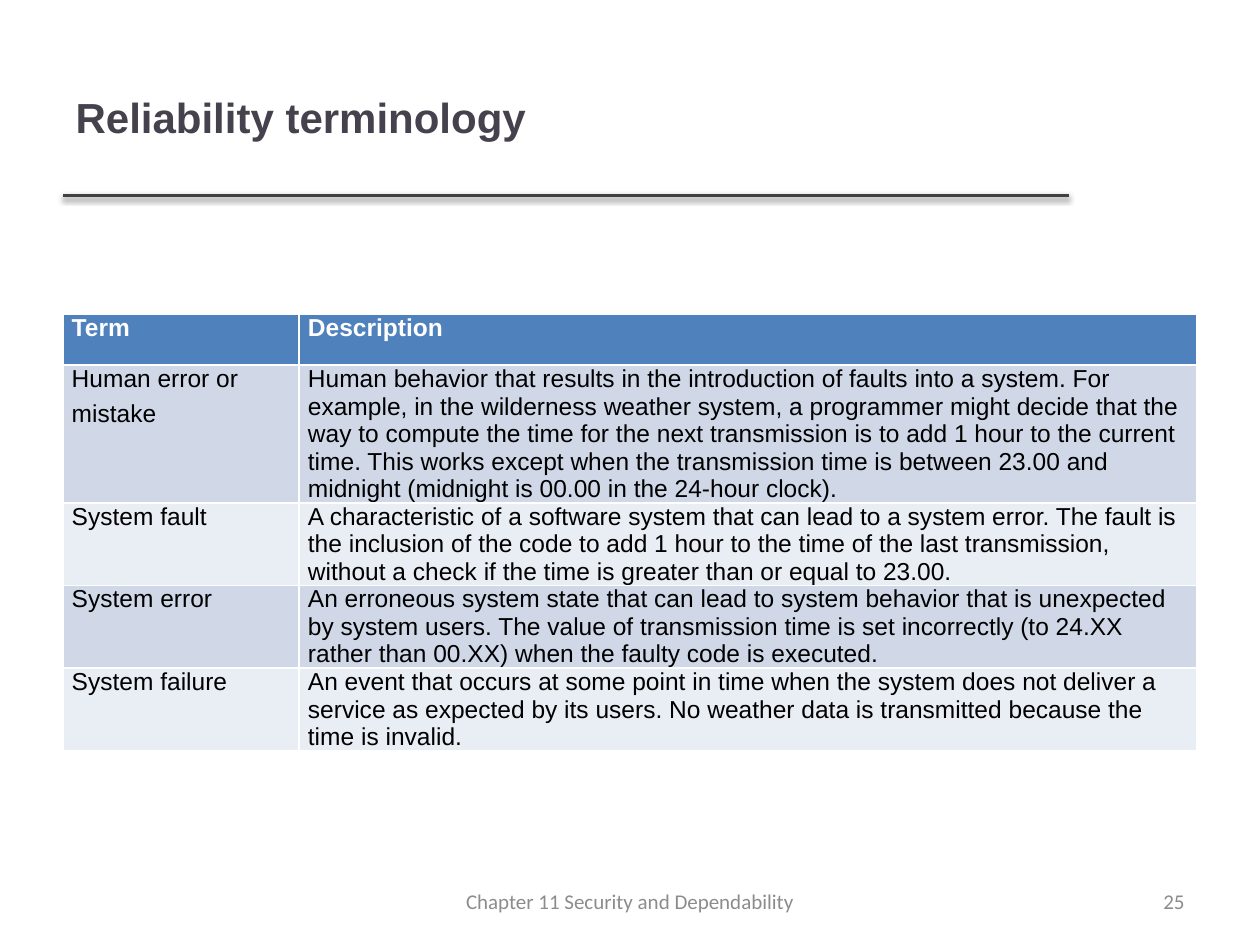
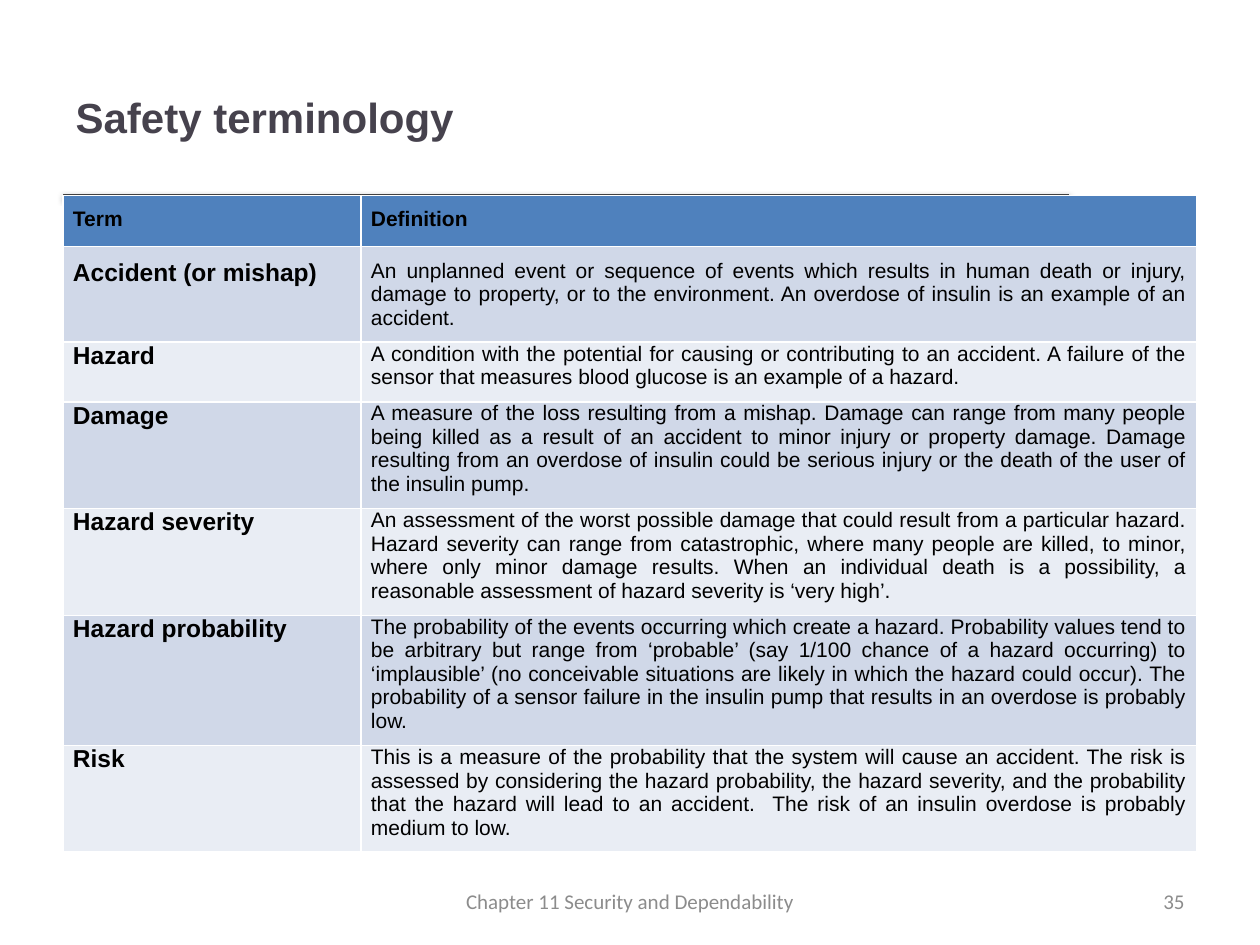
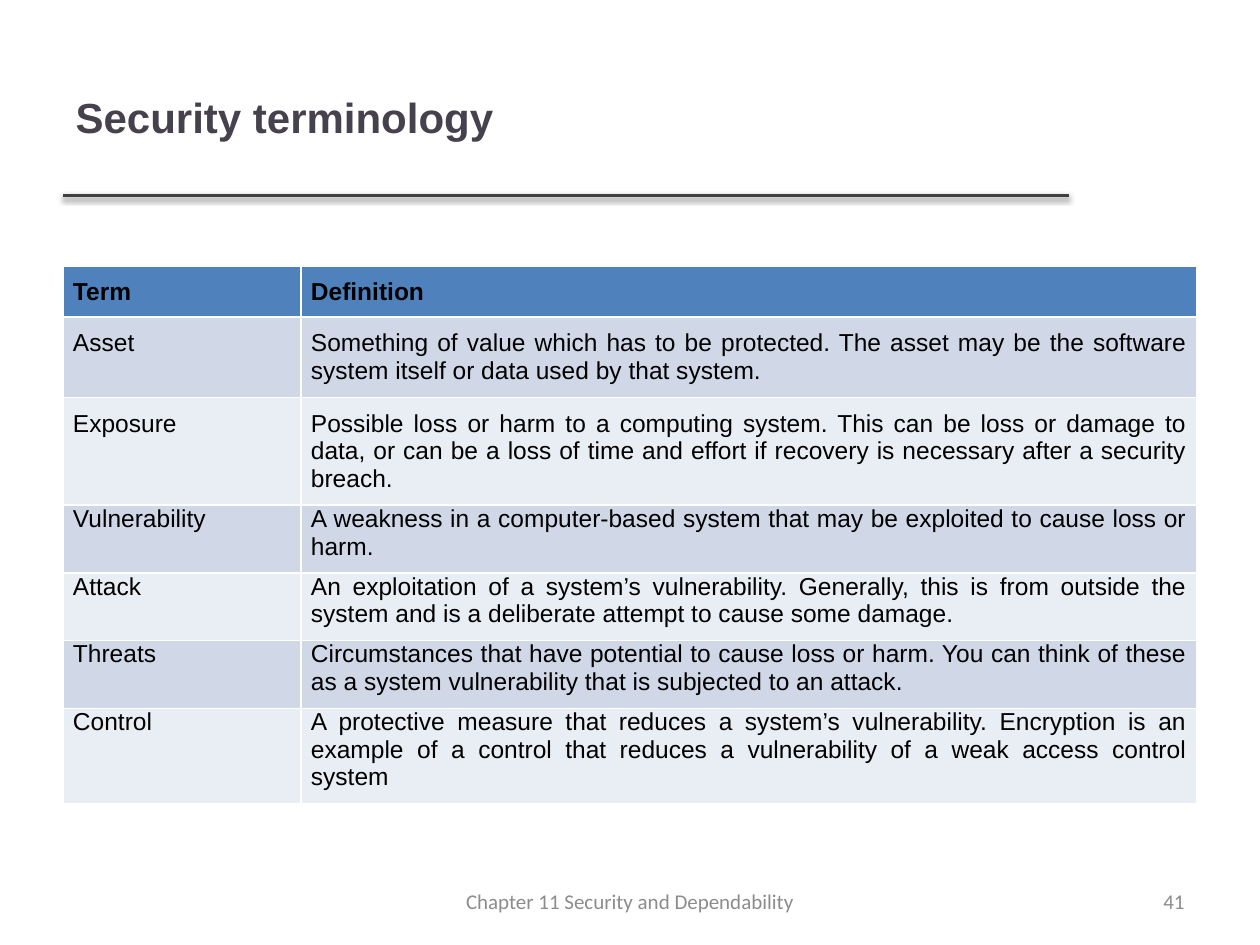
from lxml import etree
from pptx import Presentation
from pptx.dml.color import RGBColor
from pptx.enum import shapes, text
from pptx.oxml import ns
from pptx.util import Pt

WHITE = RGBColor(0xFF, 0xFF, 0xFF)
BLACK = RGBColor(0x00, 0x00, 0x00)
TITLE_INK = RGBColor(0x46, 0x42, 0x4D)
RULE_INK = RGBColor(0x40, 0x40, 0x40)
FOOTER_INK = RGBColor(0x8C, 0x8C, 0x8C)
HEADER_FILL = RGBColor(0x4F, 0x81, 0xBD)
BAND_FILLS = (RGBColor(0xD0, 0xD8, 0xE8), RGBColor(0xE9, 0xED, 0xF4))

LEFT = 36
CONTENT_WIDTH = 648
TITLE_TOP, TITLE_WIDTH, TITLE_HEIGHT = 21.6, 574.6, 90
RULE_Y = TITLE_TOP + TITLE_HEIGHT
FOOTER_TOP, FOOTER_HEIGHT = 500.5, 28.75
FOOTER = "Chapter 11 Security and Dependability"
ROW_HEIGHT = 29.2
CELL_PAD = 7.2
TITLE_ONLY = 5

RELIABILITY = [
    ("Term", "Description"),
    ("Human error or\nmistake",
     "Human behavior that results in the introduction of faults into a system. For example, "
     "in the wilderness weather system, a programmer might decide that the way to compute the "
     "time for the next transmission is to add 1 hour to the current time. This works except "
     "when the transmission time is between 23.00 and midnight (midnight is 00.00 in the "
     "24-hour clock)."),
    ("System fault",
     "A characteristic of a software system that can lead to a system error. The fault is the "
     "inclusion of the code to add 1 hour to the time of the last transmission, without a "
     "check if the time is greater than or equal to 23.00."),
    ("System error",
     "An erroneous system state that can lead to system behavior that is unexpected by system "
     "users. The value of transmission time is set incorrectly (to 24.XX rather than 00.XX) "
     "when the faulty code is executed."),
    ("System failure",
     "An event that occurs at some point in time when the system does not deliver a service "
     "as expected by its users. No weather data is transmitted because the time is invalid."),
]

SAFETY = [
    ("Term", "Definition"),
    ("Accident (or mishap)",
     "An unplanned event or sequence of events which results in human death or injury, damage "
     "to property, or to the environment. An overdose of insulin is an example of an accident."),
    ("Hazard",
     "A condition with the potential for causing or contributing to an accident. A failure of "
     "the sensor that measures blood glucose is an example of a hazard."),
    ("Damage",
     "A measure of the loss resulting from a mishap. Damage can range from many people being "
     "killed as a result of an accident to minor injury or property damage. Damage resulting "
     "from an overdose of insulin could be serious injury or the death of the user of the "
     "insulin pump."),
    ("Hazard severity",
     "An assessment of the worst possible damage that could result from a particular hazard. "
     "Hazard severity can range from catastrophic, where many people are killed, to minor, "
     "where only minor damage results. When an individual death is a possibility, a reasonable "
     "assessment of hazard severity is ‘very high’."),
    ("Hazard probability",
     "The probability of the events occurring which create a hazard. Probability values tend "
     "to be arbitrary but range from ‘probable’ (say 1/100 chance of a hazard occurring) to "
     "‘implausible’ (no conceivable situations are likely in which the hazard could occur). "
     "The probability of a sensor failure in the insulin pump that results in an overdose is "
     "probably low."),
    ("Risk",
     "This is a measure of the probability that the system will cause an accident. The risk is "
     "assessed by considering the hazard probability, the hazard severity, and the probability "
     "that the hazard will lead to an accident.  The risk of an insulin overdose is probably "
     "medium to low."),
]

SECURITY = [
    ("Term", "Definition"),
    ("Asset",
     "Something of value which has to be protected. The asset may be the software system "
     "itself or data used by that system."),
    ("Exposure",
     "Possible loss or harm to a computing system. This can be loss or damage to data, or can "
     "be a loss of time and effort if recovery is necessary after a security breach."),
    ("Vulnerability",
     "A weakness in a computer-based system that may be exploited to cause loss or harm."),
    ("Attack",
     "An exploitation of a system’s vulnerability. Generally, this is from outside the system "
     "and is a deliberate attempt to cause some damage."),
    ("Threats",
     "Circumstances that have potential to cause loss or harm. You can think of these as a "
     "system vulnerability that is subjected to an attack."),
    ("Control",
     "A protective measure that reduces a system’s vulnerability. Encryption is an example of "
     "a control that reduces a vulnerability of a weak access control system"),
]


def write(frame, words, size, color, font="Arial", bold=False,
          align=text.PP_ALIGN.LEFT, space_after=None):
    """Fill a text frame, one paragraph for each line of words."""
    for number, line in enumerate(words.split("\n")):
        para = frame.add_paragraph() if number else frame.paragraphs[0]
        para.alignment = align
        if space_after is not None:
            para.space_after = Pt(space_after)
        span = para.add_run()
        span.text = line
        span.font.name = font
        span.font.size = Pt(size)
        span.font.bold = bold
        span.font.color.rgb = color


def add_title(page, words):
    title = page.shapes.title
    title.left, title.top = Pt(LEFT), Pt(TITLE_TOP)
    title.width, title.height = Pt(TITLE_WIDTH), Pt(TITLE_HEIGHT)
    title.text_frame.vertical_anchor = text.MSO_ANCHOR.MIDDLE
    write(title.text_frame, words, 24, TITLE_INK, bold=True)


def add_footer_text(page, words, left, width, align):
    box = page.shapes.add_textbox(Pt(left), Pt(FOOTER_TOP), Pt(width), Pt(FOOTER_HEIGHT))
    box.text_frame.word_wrap = True
    box.text_frame.vertical_anchor = text.MSO_ANCHOR.MIDDLE
    write(box.text_frame, words, 12, FOOTER_INK, font="Calibri", align=align)


def add_rule_to_layout(page):
    """Draw the shadowed title rule and move it to the layout that all pages share."""
    rule = page.shapes.add_connector(shapes.MSO_CONNECTOR.STRAIGHT, Pt(LEFT), Pt(RULE_Y),
                                     Pt(LEFT + TITLE_WIDTH), Pt(RULE_Y))
    rule.line.color.rgb = RULE_INK
    rule.line.width = Pt(2)
    effects = etree.SubElement(rule.element.spPr, ns.qn("a:effectLst"))
    shadow = etree.SubElement(effects, ns.qn("a:outerShdw"), blurRad=str(Pt(3.1)),
                              dist=str(Pt(1.6)), dir="5400000", rotWithShape="0")
    black = etree.SubElement(shadow, ns.qn("a:srgbClr"), val=str(BLACK))
    etree.SubElement(black, ns.qn("a:alpha"), val="38000")
    rule.element.nvCxnSpPr.cNvPr.set("id", "20")
    page.slide_layout.shapes.element.append(rule.element)


def add_term_table(page, rows, top, height, term_width, size=14, term_size=14,
                   header_color=BLACK, bold_terms=False, side_pad=5.7, bottom_pad=CELL_PAD,
                   padded_rows=0, align=text.PP_ALIGN.JUSTIFY, space_after=None):
    """Two-column table; the header and the first padded_rows body rows get top padding."""
    frame = page.shapes.add_table(len(rows), 2, Pt(LEFT), Pt(top), Pt(CONTENT_WIDTH),
                                  Pt(ROW_HEIGHT * len(rows)))
    table = frame.table
    table.columns[0].width = Pt(term_width)
    table.columns[1].width = Pt(CONTENT_WIDTH - term_width)
    for row, words in enumerate(rows):
        header = row == 0
        table.rows[row].height = Pt(ROW_HEIGHT)
        for column, entry in enumerate(words):
            cell = table.cell(row, column)
            cell.margin_left = cell.margin_right = Pt(side_pad)
            cell.margin_top = Pt(CELL_PAD if padded_rows and row <= padded_rows else 0)
            cell.margin_bottom = Pt(0 if header else bottom_pad)
            cell.fill.solid()
            cell.fill.fore_color.rgb = HEADER_FILL if header else BAND_FILLS[(row - 1) % 2]
            is_term = column == 0 and not header
            write(cell.text_frame, entry, term_size if is_term else size,
                  header_color if header else BLACK,
                  bold=header or (is_term and bold_terms), align=align,
                  space_after=None if header else space_after)
    frame.height = Pt(height)


def add_page(deck, title, number):
    page = deck.slides.add_slide(deck.slide_layouts[TITLE_ONLY])
    add_title(page, title)
    return page, number


def add_terminology_page(deck, title, number, rows, **table_format):
    page = deck.slides.add_slide(deck.slide_layouts[TITLE_ONLY])
    add_title(page, title)
    add_term_table(page, rows, **table_format)
    add_footer_text(page, number, 516, 168, text.PP_ALIGN.RIGHT)
    add_footer_text(page, FOOTER, 246, 228, text.PP_ALIGN.CENTER)
    return page


def main():
    deck = Presentation()
    deck.slide_width, deck.slide_height = Pt(720), Pt(540)
    first_page = add_terminology_page(
        deck, "Reliability terminology", "25", RELIABILITY, top=179.5, height=264.2,
        term_width=135, header_color=WHITE, side_pad=5, bottom_pad=0,
        align=text.PP_ALIGN.LEFT, space_after=4)
    add_rule_to_layout(first_page)
    add_terminology_page(
        deck, "Safety terminology", "35", SAFETY, top=RULE_Y, height=396.7,
        term_width=170.3, size=12, bold_terms=True, padded_rows=1)
    add_terminology_page(
        deck, "Security terminology", "41", SECURITY, top=152, height=321.8,
        term_width=136, padded_rows=2)
    deck.save("out.pptx")


if __name__ == "__main__":
    main()
